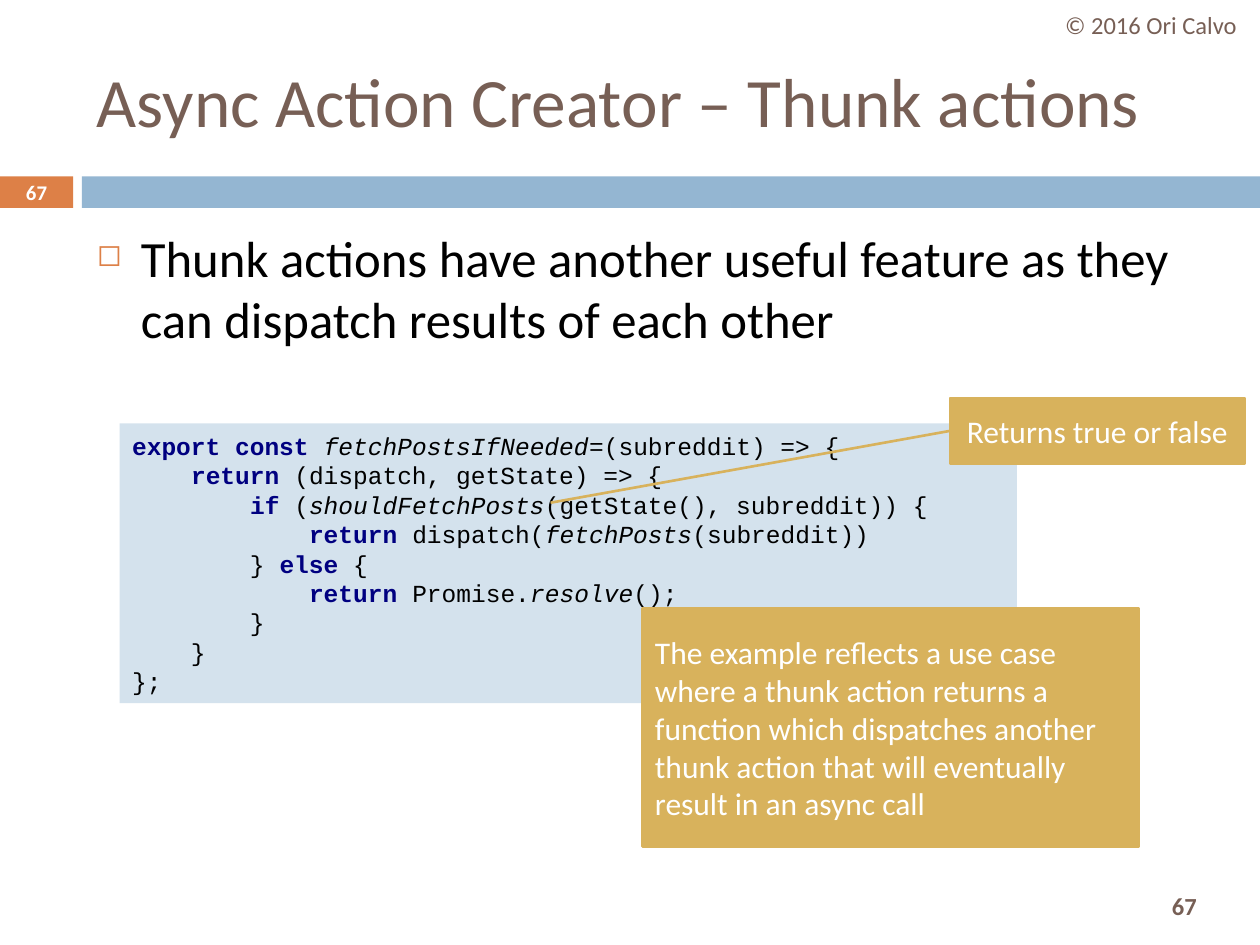
from lxml.etree import SubElement
from pptx import Presentation
from pptx.dml.color import RGBColor
from pptx.enum.shapes import MSO_CONNECTOR, MSO_SHAPE
from pptx.enum.text import MSO_ANCHOR, PP_ALIGN
from pptx.oxml.ns import qn
from pptx.util import Inches, Pt

WIDTH, HEIGHT = 10, 7.5
BROWN = RGBColor(0x77, 0x5F, 0x55)
ORANGE = RGBColor(0xDD, 0x80, 0x47)
BLUE = RGBColor(0x94, 0xB6, 0xD2)
PALE_BLUE = RGBColor(0xD4, 0xE2, 0xED)
GOLD = RGBColor(0xD8, 0xB2, 0x5C)
NAVY = RGBColor(0x00, 0x00, 0x80)
BLACK = RGBColor(0x00, 0x00, 0x00)
WHITE = RGBColor(0xFF, 0xFF, 0xFF)

PLAIN = {"name": "Courier New", "size": Pt(14), "bold": False, "italic": False}
CODE_STYLES = {
    "keyword": {**PLAIN, "bold": True, "color": NAVY},
    "name": {**PLAIN, "italic": True, "color": BLACK},
    "plain": {**PLAIN, "color": BLACK},
}
INDENT = " " * 4
CODE = [
    (0, [("keyword", "export const "), ("name", "fetchPostsIfNeeded"),
         ("plain", "=(subreddit) => {")]),
    (1, [("keyword", "return "), ("plain", "(dispatch, getState) => {")]),
    (2, [("keyword", "if "), ("plain", "("), ("name", "shouldFetchPosts"),
         ("plain", "(getState(), subreddit)) {")]),
    (3, [("keyword", "return "), ("plain", "dispatch("), ("name", "fetchPosts"),
         ("plain", "(subreddit))")]),
    (2, [("plain", "} "), ("keyword", "else "), ("plain", "{")]),
    (3, [("keyword", "return "), ("plain", "Promise."), ("name", "resolve"),
         ("plain", "();")]),
    (2, [("plain", "}")]),
    (1, [("plain", "}")]),
    (0, [("plain", "};")]),
]


def apply_format(target, values):
    """Set each attribute of the target from a dict."""
    for name, value in values.items():
        if name == "color":
            target.color.rgb = value
        else:
            setattr(target, name, value)


def add_run(paragraph, text, values):
    """Append a formatted run to the paragraph."""
    run = paragraph.add_run()
    run.text = text
    apply_format(run.font, values)


def prepare_frame(shape, anchor=MSO_ANCHOR.MIDDLE, align=PP_ALIGN.LEFT):
    """Wrap and anchor the shape's text; return its first paragraph."""
    apply_format(shape.text_frame, {"word_wrap": True, "vertical_anchor": anchor})
    paragraph = shape.text_frame.paragraphs[0]
    paragraph.alignment = align
    return paragraph


def add_label(slide, box, text, size, color, bold=False,
              anchor=MSO_ANCHOR.MIDDLE, align=PP_ALIGN.LEFT):
    """Add a text box with one formatted paragraph, and return the paragraph."""
    shape = slide.shapes.add_textbox(*map(Inches, box))
    paragraph = prepare_frame(shape, anchor, align)
    add_run(paragraph, text, {"name": "Calibri", "size": Pt(size),
                              "bold": bold, "color": color})
    return paragraph


def add_block(slide, box, fill, line=None):
    """Add a flat rectangle, outlined only when a line colour is given."""
    shape = slide.shapes.add_shape(MSO_SHAPE.RECTANGLE, *map(Inches, box))
    shape.shadow.inherit = False
    shape.fill.solid()
    shape.fill.fore_color.rgb = fill
    if line is None:
        shape.line.fill.background()
    else:
        apply_format(shape.line, {"color": line, "width": Pt(1.5)})
    return shape


def add_band(slide, box, number):
    """Fill the box with the numbered tab and the bar beside it."""
    left, top, width, height = box
    tab, gap = 0.58, 0.07
    add_block(slide, (left, top, tab, height), ORANGE)
    add_block(slide, (left + tab + gap, top, width - tab - gap, height), BLUE)
    add_label(slide, (left, top, tab, height), number, 11.9, WHITE,
              bold=True, align=PP_ALIGN.CENTER)


def add_bullet(slide, box, text):
    """Add a paragraph with a hanging square bullet."""
    paragraph = add_label(slide, box, text, 29, BLACK, anchor=MSO_ANCHOR.TOP)
    paragraph.space_before = Pt(7)
    properties = paragraph._p.get_or_add_pPr()
    properties.set("marL", str(Inches(0.35)))
    properties.set("indent", str(-Inches(0.35)))
    color = SubElement(properties, qn("a:buClr"))
    SubElement(color, qn("a:srgbClr"), val=str(ORANGE))
    SubElement(properties, qn("a:buSzPct"), val="60000")
    SubElement(properties, qn("a:buChar"), char="\u25fb")


def add_code(slide, box, lines):
    """Add the code panel, one line break between code lines."""
    paragraph = prepare_frame(add_block(slide, box, PALE_BLUE))
    for index, (level, tokens) in enumerate(lines):
        if index:
            paragraph.add_line_break()
        if level:
            add_run(paragraph, INDENT * level, CODE_STYLES["plain"])
        for style, text in tokens:
            add_run(paragraph, text, CODE_STYLES[style])


def add_callout(slide, box, text, align=PP_ALIGN.LEFT, target=None):
    """Add a gold note, with a line from its left edge to the target."""
    paragraph = prepare_frame(add_block(slide, box, GOLD, GOLD), align=align)
    add_run(paragraph, text, {"name": "Calibri", "size": Pt(18), "color": WHITE})
    if target:
        left, top, _, height = box
        ends = (left, top + height / 2, *target)
        connector = slide.shapes.add_connector(MSO_CONNECTOR.STRAIGHT,
                                               *map(Inches, ends))
        apply_format(connector.line, {"color": GOLD, "width": Pt(1.5)})
        SubElement(connector._element.spPr, qn("a:effectLst"))


def build_slide(presentation):
    """Place all regions of the thunk actions slide."""
    slide = presentation.slides.add_slide(presentation.slide_layouts[6])
    number = "67"
    add_band(slide, (0, 1.4, WIDTH, 0.25), number)
    add_label(slide, (8.94, 6.98, 0.92, 0.42), number, 14, BROWN,
              bold=True, align=PP_ALIGN.CENTER)
    add_label(slide, (0.67, 0.25, 8.92, 1.08),
              "Async Action Creator \u2013 Thunk actions", 39.6, BROWN)
    add_label(slide, (8.27, 0, 1.73, 0.4), "\u00a9 2016 Ori Calvo", 14, BROWN,
              align=PP_ALIGN.CENTER)
    add_bullet(slide, (0.67, 1.75, 9.13, 1.06),
               "Thunk actions have another useful feature as they can "
               "dispatch results of each other")
    add_code(slide, (0.95, 3.36, 7.12, 2.22), CODE)
    add_callout(slide, (5.1, 4.83, 3.94, 1.89),
                "The example reflects a use case where a thunk action returns "
                "a function which dispatches another thunk action that will "
                "eventually result in an async call")
    add_callout(slide, (7.54, 3.16, 2.34, 0.52), "Returns true or false",
                PP_ALIGN.CENTER, target=(4.37, 3.99))


presentation = Presentation()
apply_format(presentation, {"slide_width": Inches(WIDTH),
                            "slide_height": Inches(HEIGHT)})
build_slide(presentation)
presentation.save("out.pptx")
